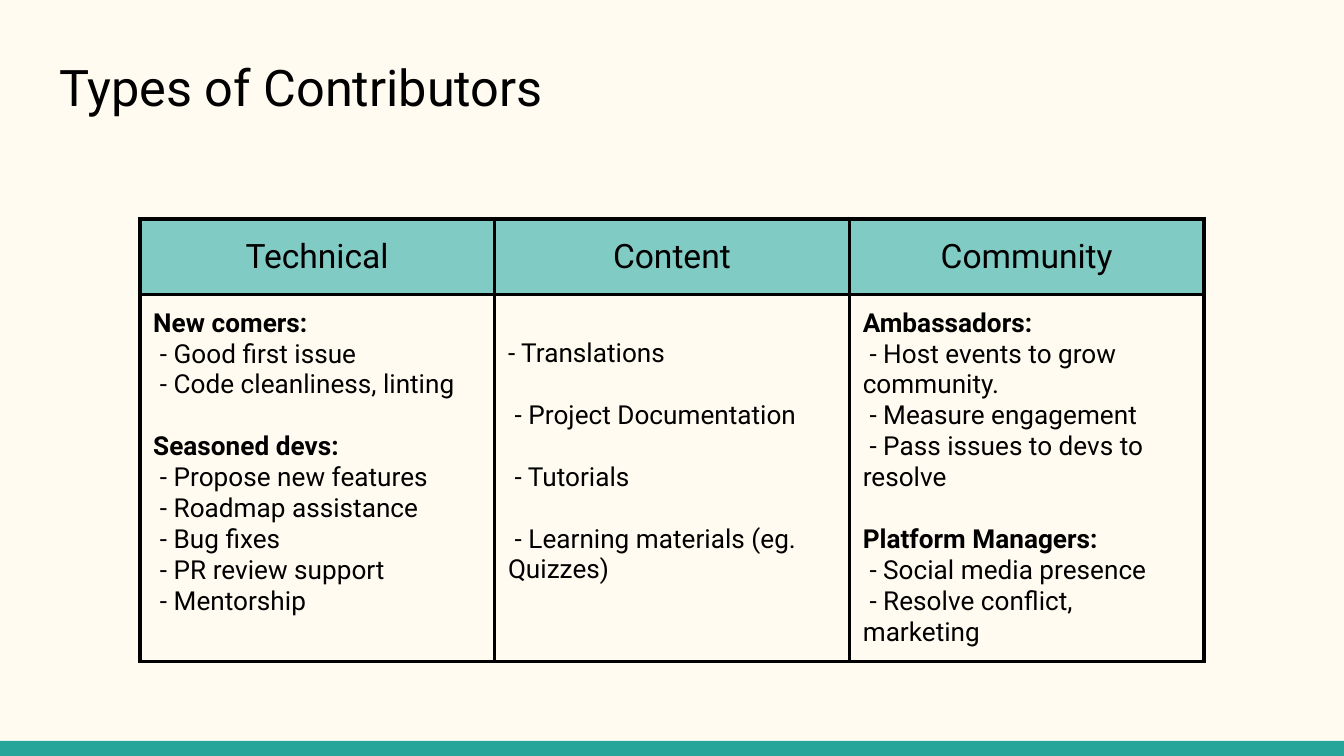
"""Builds the slide on types of contributors."""
from lxml.etree import SubElement
from pptx import Presentation
from pptx.dml.color import RGBColor
from pptx.enum.shapes import MSO_SHAPE as Shape
from pptx.enum.text import MSO_ANCHOR as Anchor, PP_ALIGN as Align
from pptx.oxml.ns import qn
from pptx.util import Inches, Pt

WIDTH = 10
HEIGHT = WIDTH * 9 / 16
INSET = 0.1
LINE = 16.5
DASH_INDENT = 0.05

TECHNICAL = [
    ("New comers:", ["Good first issue", "Code cleanliness, linting"]),
    ("Seasoned devs:", ["Propose new features", "Roadmap assistance", "Bug fixes",
                        "PR review support", "Mentorship"]),
]
CONTENT = ["Translations", "Project Documentation", "Tutorials",
           "Learning materials (eg. Quizzes)"]
COMMUNITY = [
    ("Ambassadors:", ["Host events to grow community.", "Measure engagement",
                      "Pass issues to devs to resolve"]),
    ("Platform Managers:", ["Social media presence", "Resolve conflict, marketing"]),
]


def color(code):
    return RGBColor.from_string(code)


def write(frame, text, size=14, bold=False, align=Align.LEFT, before=0, indent=0):
    """Add one formatted paragraph, filling the empty first one if there is one."""
    paragraph = frame.add_paragraph() if frame.text else frame.paragraphs[0]
    paragraph.text = text
    paragraph.alignment = align
    paragraph.space_before = Pt(before)
    properties = paragraph._p.get_or_add_pPr()
    properties.set("marL", "0")
    properties.set("indent", str(Inches(indent)))
    font = paragraph.runs[0].font
    font.name, font.size, font.bold = "Roboto", Pt(size), bold
    font.color.rgb = color(Deck.ink)


class Deck:
    """Holds the style and the current slide, placing parts by shares of its size."""
    paper, ink, accent, header = "FFFBF0", "000000", "26A69A", "80CBC4"

    def __init__(self):
        self.show = Presentation()
        self.show.slide_width, self.show.slide_height = Inches(WIDTH), Inches(HEIGHT)
        self.slide = self.show.slides.add_slide(self.show.slide_layouts[5])
        self.slide.background.fill.solid()
        self.slide.background.fill.fore_color.rgb = color(self.paper)

    def area(self, left, top, width, height):
        across, down = self.show.slide_width, self.show.slide_height
        return int(left * across), int(top * down), int(width * across), int(height * down)

    def band(self, *shares):
        strip = self.slide.shapes.add_shape(Shape.RECTANGLE, *self.area(*shares))
        strip.shadow.inherit = False
        strip.fill.solid()
        strip.fill.fore_color.rgb = color(self.accent)
        strip.line.fill.background()

    def title(self, text, *shares):
        heading = self.slide.shapes.title
        heading.left, heading.top, heading.width, heading.height = self.area(*shares)
        frame = heading.text_frame
        frame.margin_left = frame.margin_right = Inches(INSET)
        frame.margin_top = frame.margin_bottom = Inches(INSET)
        frame.vertical_anchor = Anchor.TOP
        write(frame, text, size=27)

    def table(self, headings, header_share, *shares):
        left, top, width, height = self.area(*shares)
        grid = self.slide.shapes.add_table(2, len(headings), left, top, width, height).table
        grid.rows[0].height = int(height * header_share)
        grid.rows[1].height = height - grid.rows[0].height
        for column, heading in enumerate(headings):
            self.border(grid.cell(0, column))
            self.border(grid.cell(1, column))
            top_cell = grid.cell(0, column)
            top_cell.fill.solid()
            top_cell.fill.fore_color.rgb = color(self.header)
            top_cell.vertical_anchor = Anchor.MIDDLE
            write(top_cell.text_frame, heading, size=18, align=Align.CENTER)
            grid.cell(1, column).fill.background()
        return [grid.cell(1, column) for column in range(len(headings))]

    def border(self, cell):
        cell.margin_left = cell.margin_right = Inches(INSET)
        cell.margin_top = cell.margin_bottom = Inches(INSET)
        properties = cell._tc.get_or_add_tcPr()
        for side in ("a:lnL", "a:lnR", "a:lnT", "a:lnB"):
            edge = SubElement(properties, qn(side), w=str(Pt(2.25)))
            SubElement(SubElement(edge, qn("a:solidFill")), qn("a:srgbClr"), val=self.ink)

    def roles(self, cell, groups):
        for position, (role, tasks) in enumerate(groups):
            write(cell.text_frame, role, bold=True, before=LINE if position else 0)
            for task in tasks:
                write(cell.text_frame, f"- {task}", indent=DASH_INDENT)

    def spaced_list(self, cell, tasks):
        cell.margin_top = Inches(INSET) + Pt(LINE)
        for position, task in enumerate(tasks):
            write(cell.text_frame, f"- {task}", before=LINE if position else 0,
                  indent=DASH_INDENT if position else 0)


def main():
    deck = Deck()
    deck.band(0, 0.98, 1, 0.02)
    deck.title("Types of Contributors", 0.034, 0.057, 0.932, 0.12)
    technical, content, community = deck.table(
        ["Technical", "Content", "Community"], 0.17, 0.104, 0.29, 0.792, 0.585)
    deck.roles(technical, TECHNICAL)
    deck.spaced_list(content, CONTENT)
    deck.roles(community, COMMUNITY)
    deck.show.save("out.pptx")


if __name__ == "__main__":
    main()
